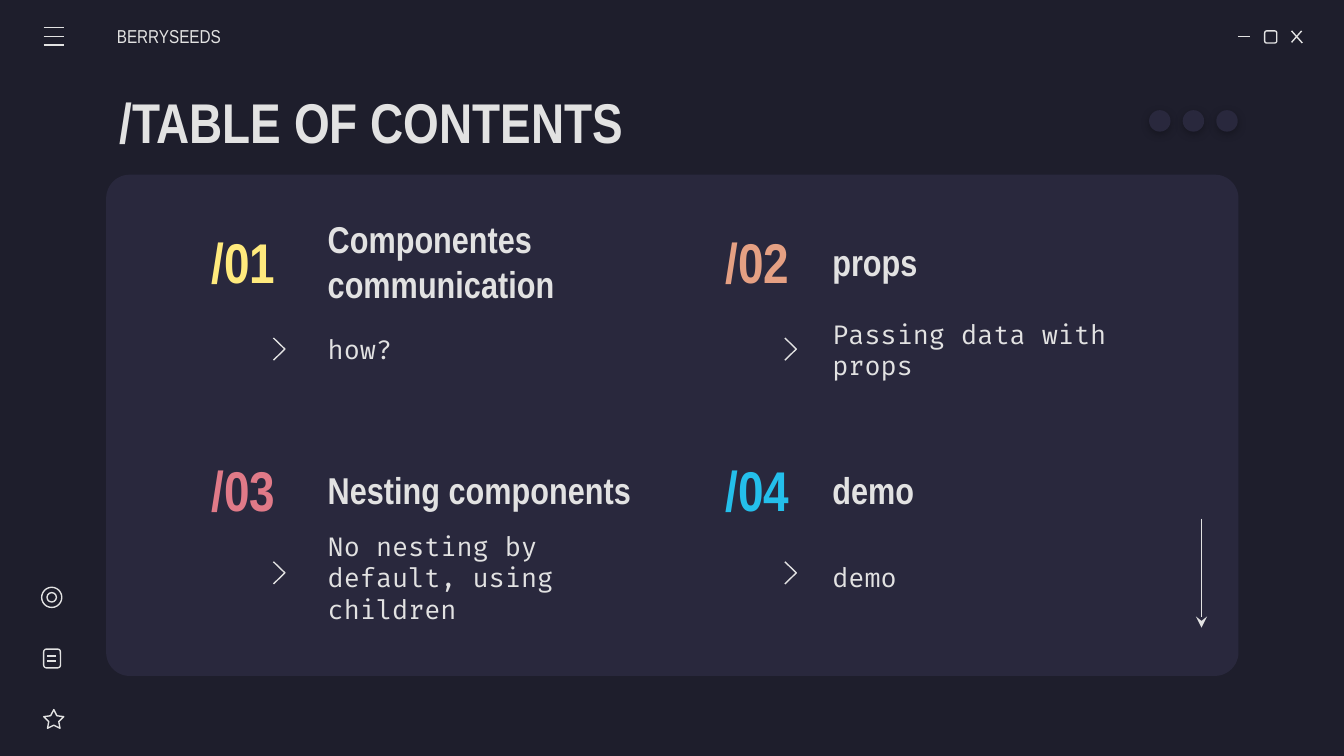
from collections import namedtuple

from lxml.etree import SubElement
from pptx import Presentation
from pptx.dml.color import RGBColor
from pptx.enum.shapes import MSO_CONNECTOR, MSO_SHAPE
from pptx.enum.text import MSO_ANCHOR, PP_ALIGN
from pptx.oxml.ns import qn
from pptx.util import Pt

PX = 4572
NIGHT = RGBColor(0x1E, 0x1E, 0x2C)
PANEL = RGBColor(0x29, 0x28, 0x3D)
LIGHT = RGBColor(0xE2, 0xE2, 0xE2)
YELLOW = RGBColor(0xFF, 0xEA, 0x7D)
ORANGE = RGBColor(0xE5, 0xA0, 0x83)
ROSE = RGBColor(0xE0, 0x7A, 0x88)
BLUE = RGBColor(0x24, 0xBF, 0xEB)
HEADING_FONT = "Arial Narrow"
BODY_FONT = "Fira Code"

Box = namedtuple("Box", "left top width height")
Column = namedtuple("Column", "left chevron text")
Row = namedtuple("Row", "top body chevron")
Entry = namedtuple("Entry", "number color title title_width body")

COLUMNS = [Column(271, 136, 197), Column(1036, 132, 183)]
ROWS = [Row(333, 112, 170), Row(672, 112, 164)]
ENTRIES = [
    Entry("/01", YELLOW, "Componentes communication", 570, "how?"),
    Entry("/02", ORANGE, "props", 612, "Passing data with props"),
    Entry("/03", ROSE, "Nesting components", 582, "No nesting by default, using children"),
    Entry("/04", BLUE, "demo", 512, "demo"),
]


def inside(box, left, top, width, height):
    return Box(box.left + left, box.top + top, width, height)


def emu(lengths):
    return [length * PX for length in lengths]


def add_outline(shape):
    shape.shadow.inherit = False
    shape.fill.background()
    shape.line.color.rgb = LIGHT
    shape.line.width = Pt(0.75)


def add_icon(page, kind, box):
    shape = page.shapes.add_shape(kind, *emu(box))
    add_outline(shape)
    return shape


def add_filled(page, kind, box):
    shape = page.shapes.add_shape(kind, *emu(box))
    shape.shadow.inherit = False
    shape.fill.solid()
    shape.fill.fore_color.rgb = PANEL
    shape.line.fill.background()
    return shape


def add_line(page, box, start_x, start_y, end_x, end_y):
    ends = (box.left + start_x, box.top + start_y, box.left + end_x, box.top + end_y)
    line = page.shapes.add_connector(MSO_CONNECTOR.STRAIGHT, *emu(ends))
    line.line.color.rgb = LIGHT
    line.line.width = Pt(0.75)
    SubElement(line._element.spPr, qn("a:effectLst"))
    return line


def add_text(page, box, text, size, font=HEADING_FONT, color=LIGHT, bold=True,
             align=PP_ALIGN.LEFT, inset=20):
    frame = page.shapes.add_textbox(*emu(box)).text_frame
    frame.word_wrap = True
    frame.vertical_anchor = MSO_ANCHOR.MIDDLE
    frame.margin_left = inset * PX
    frame.margin_right = frame.margin_top = frame.margin_bottom = 20 * PX
    para = frame.paragraphs[0]
    para.alignment = align
    span = para.add_run()
    span.text = text
    span.font.size = Pt(size)
    span.font.name = font
    span.font.bold = bold
    span.font.color.rgb = color


def add_chevron(page, box):
    left, top, width, height = emu(box)
    builder = page.shapes.build_freeform(left, top)
    builder.add_line_segments(
        [(left + width, top + height // 2), (left, top + height)], close=False)
    add_outline(builder.convert_to_shape())


def add_window_controls(page, box):
    add_line(page, box, 0, 8, 18, 8)
    add_icon(page, MSO_SHAPE.ROUNDED_RECTANGLE, inside(box, 40, 0, 18, 18))
    add_line(page, box, 80, 0, 96, 18)
    add_line(page, box, 95, 0, 80, 17)


def add_header(page, box):
    for top in (0, 13, 26):
        add_line(page, box, 0, top, 30, top)
    add_text(page, inside(box, 109, -17, 234, 60), "BERRYSEEDS", 10, bold=False, inset=0)
    add_window_controls(page, inside(box, 1777, 5, 96, 18))


def add_side_icons(page, box):
    add_icon(page, MSO_SHAPE.OVAL, inside(box, 0, 0, 30, 30))
    add_icon(page, MSO_SHAPE.OVAL, inside(box, 8, 8, 14, 14))
    add_icon(page, MSO_SHAPE.ROUNDED_RECTANGLE, inside(box, 3, 92, 25, 28))
    for top in (102, 110):
        add_line(page, box, 8, top, 22, top)
    star = add_icon(page, MSO_SHAPE.STAR_5_POINT, inside(box, 3, 182, 30, 28))
    star.adjustments[0] = 0.25


def add_dots(page, box):
    for index in range(3):
        dot = add_filled(page, MSO_SHAPE.OVAL, inside(box, index * 50, 0, 32, 32))
        effects = dot._element.spPr.find(qn("a:effectLst"))
        shadow = SubElement(effects, qn("a:outerShdw"), blurRad=str(Pt(4.5)),
                            dist=str(Pt(1.5)), dir="5400000", algn="bl", rotWithShape="0")
        tint = SubElement(shadow, qn("a:srgbClr"), val="000000")
        SubElement(tint, qn("a:alpha"), val="27000")


def add_title(page, box):
    add_text(page, box, "/TABLE OF CONTENTS", 30)
    add_dots(page, inside(box, 1552, 46, 132, 32))


def add_entry(page, box, column, row, entry):
    add_text(page, inside(box, 0, 0, 182, 112), entry.number, 30,
             color=entry.color, align=PP_ALIGN.CENTER)
    add_text(page, inside(box, column.text, 0, entry.title_width, 112), entry.title, 20)
    add_text(page, inside(box, column.text, row.body, 512, 150), entry.body, 14,
             font=BODY_FONT, bold=False)
    add_chevron(page, inside(box, column.chevron, row.chevron, 17, 33))


def add_contents(page, box):
    panel = add_filled(page, MSO_SHAPE.ROUNDED_RECTANGLE, box)
    panel.adjustments[0] = 0.047
    for index, entry in enumerate(ENTRIES):
        row, column = ROWS[index // 2], COLUMNS[index % 2]
        add_entry(page, Box(column.left, row.top, 800, 262), column, row, entry)
    arrow = add_line(page, box, 1630, 512, 1630, 674)
    SubElement(arrow.line._get_or_add_ln(), qn("a:tailEnd"), type="stealth")


def main():
    deck = Presentation()
    deck.slide_width, deck.slide_height = emu((2000, 1125))
    page = deck.slides.add_slide(deck.slide_layouts[6])
    page.background.fill.solid()
    page.background.fill.fore_color.rgb = NIGHT
    add_contents(page, Box(158, 260, 1685, 746))
    add_title(page, Box(158, 118, 1685, 126))
    add_header(page, Box(65, 41, 1873, 26))
    add_side_icons(page, Box(62, 874, 33, 210))
    deck.save("out.pptx")


if __name__ == "__main__":
    main()
